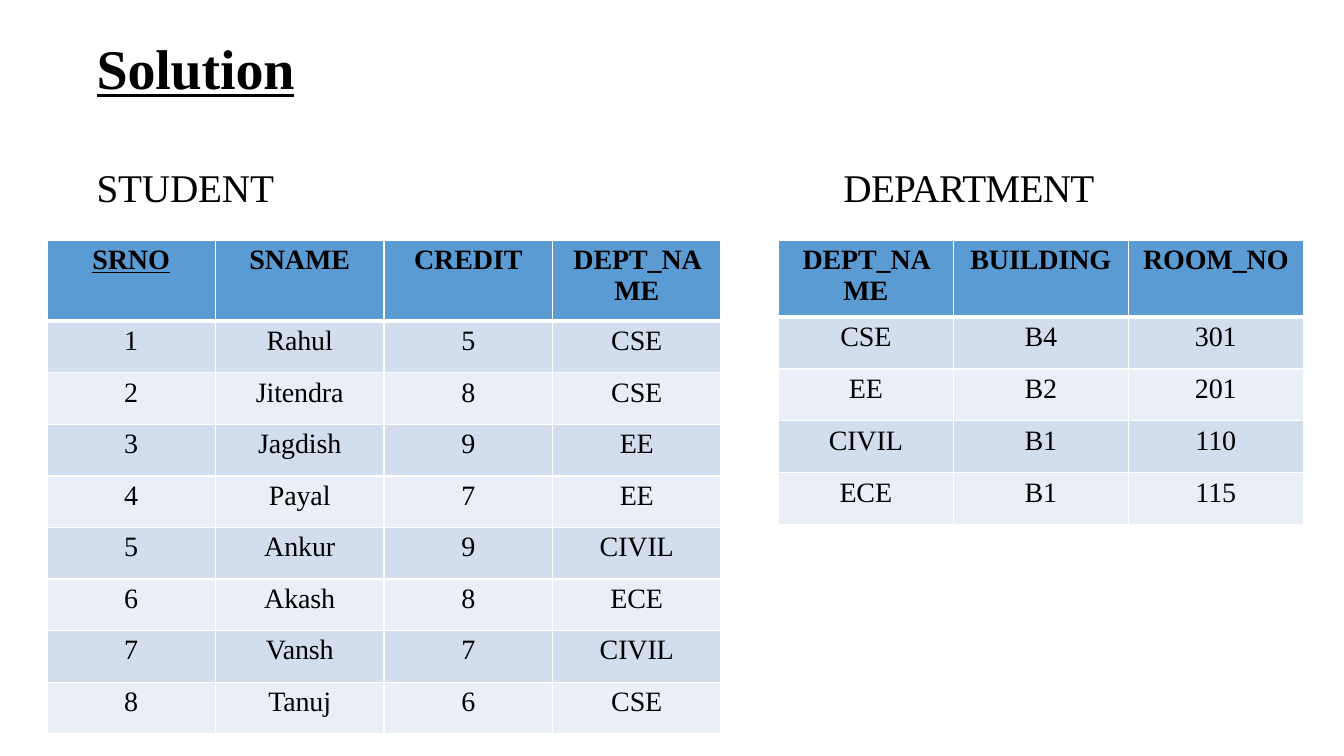
import pptx
import pptx.dml.color
import pptx.enum.text
import pptx.oxml
import pptx.oxml.ns
import pptx.util
from pptx.util import Pt

# Content
TITLE = "Solution"
RELATIONS = [
    {
        "name": "STUDENT", "name_left": 69, "name_width": 130, "tracking": -10,
        "left": 33.5, "column": 120.4, "header_height": 58, "row_height": 36.85,
        "key": "SRNO",
        "rows": [
            ("SRNO", "SNAME", "CREDIT", "DEPT_NA ME"),
            ("1", "Rahul", "5", "CSE"),
            ("2", "Jitendra", "8", "CSE"),
            ("3", "Jagdish", "9", "EE"),
            ("4", "Payal", "7", "EE"),
            ("5", "Ankur", "9", "CIVIL"),
            ("6", "Akash", "8", "ECE"),
            ("7", "Vansh", "7", "CIVIL"),
            ("8", "Tanuj", "6", "CSE"),
        ],
    },
    {
        "name": "DEPARTMENT", "name_left": 602.5, "name_width": 186, "tracking": -50,
        "left": 556, "column": 125, "header_height": 55, "row_height": 37.1,
        "key": None,
        "rows": [
            ("DEPT_NA ME", "BUILDING", "ROOM_NO"),
            ("CSE", "B4", "301"),
            ("EE", "B2", "201"),
            ("CIVIL", "B1", "110"),
            ("ECE", "B1", "115"),
        ],
    },
]

FONT = "Times New Roman"
BLACK, WHITE = "000000", "FFFFFF"
HEADER_FILL, ODD_FILL, EVEN_FILL = "5B9BD4", "D2DEEE", "EAEEF7"
NAME_TOP, TABLE_TOP = 112.5, 171.5


def color(value):
    return pptx.dml.color.RGBColor.from_string(value)


def write(frame, text, size, top_inset, tracking, bold=False, underline=False,
          align=pptx.enum.text.PP_ALIGN.LEFT):
    frame.text = text
    frame.word_wrap = True
    frame.vertical_anchor = pptx.enum.text.MSO_ANCHOR.TOP
    frame.margin_left = frame.margin_right = frame.margin_bottom = 0
    frame.margin_top = Pt(top_inset)
    paragraph = frame.paragraphs[0]
    paragraph.alignment = align
    run = paragraph.runs[0]
    run.font.name, run.font.size = FONT, Pt(size)
    run.font.bold, run.font.underline = bold, underline
    run.font.color.rgb = color(BLACK)
    run._r.get_or_add_rPr().set("spc", str(tracking))


def set_borders(cell, widths):
    """Put white borders before the cell's fill, as the schema orders them."""
    properties = cell._tc.get_or_add_tcPr()
    for position, (side, width) in enumerate(widths.items()):
        properties.insert(position, pptx.oxml.parse_xml(
            f'<a:{side} {pptx.oxml.ns.nsdecls("a")} w="{Pt(width)}"><a:solidFill>'
            f'<a:srgbClr val="{WHITE}"/></a:solidFill></a:{side}>'))


def add_relation(slide, relation):
    # Relation name
    name = slide.shapes.add_textbox(
        Pt(relation["name_left"]), Pt(NAME_TOP), Pt(relation["name_width"]), Pt(35))
    write(name.text_frame, relation["name"], 28, 4, relation["tracking"])

    # Relation table
    rows = relation["rows"]
    heights = [relation["header_height"]] + [relation["row_height"]] * (len(rows) - 1)
    table = slide.shapes.add_table(
        len(rows), len(rows[0]), Pt(relation["left"]), Pt(TABLE_TOP),
        Pt(relation["column"] * len(rows[0])), Pt(sum(heights))).table
    for column in table.columns:
        column.width = Pt(relation["column"])
    for r, values in enumerate(rows):
        table.rows[r].height = Pt(heights[r])
        fill = HEADER_FILL if r == 0 else ODD_FILL if r % 2 else EVEN_FILL
        for c, value in enumerate(values):
            cell = table.cell(r, c)
            # A cell takes its insets and anchor itself, the frame only the text
            write(cell.text_frame, value, 20, 0, -10, bold=r == 0,
                  underline=value == relation["key"],
                  align=pptx.enum.text.PP_ALIGN.CENTER)
            cell.margin_left = cell.margin_right = cell.margin_bottom = 0
            cell.margin_top = Pt(3)
            cell.vertical_anchor = pptx.enum.text.MSO_ANCHOR.TOP
            cell.fill.solid()
            cell.fill.fore_color.rgb = color(fill)
            set_borders(cell, {"lnL": 1, "lnR": 1, "lnT": 3 if r == 1 else 1,
                               "lnB": 3 if r == 0 else 1})


def main():
    presentation = pptx.Presentation()
    presentation.slide_width, presentation.slide_height = Pt(960), Pt(540)
    slide = presentation.slides.add_slide(presentation.slide_layouts[5])

    # Title
    title = slide.shapes.title
    title.left, title.top, title.width, title.height = Pt(69), Pt(2), Pt(823), Pt(84)
    write(title.text_frame, TITLE, 40, 22, -10, bold=True, underline=True)

    for relation in RELATIONS:
        add_relation(slide, relation)
    presentation.save("out.pptx")


if __name__ == "__main__":
    main()
